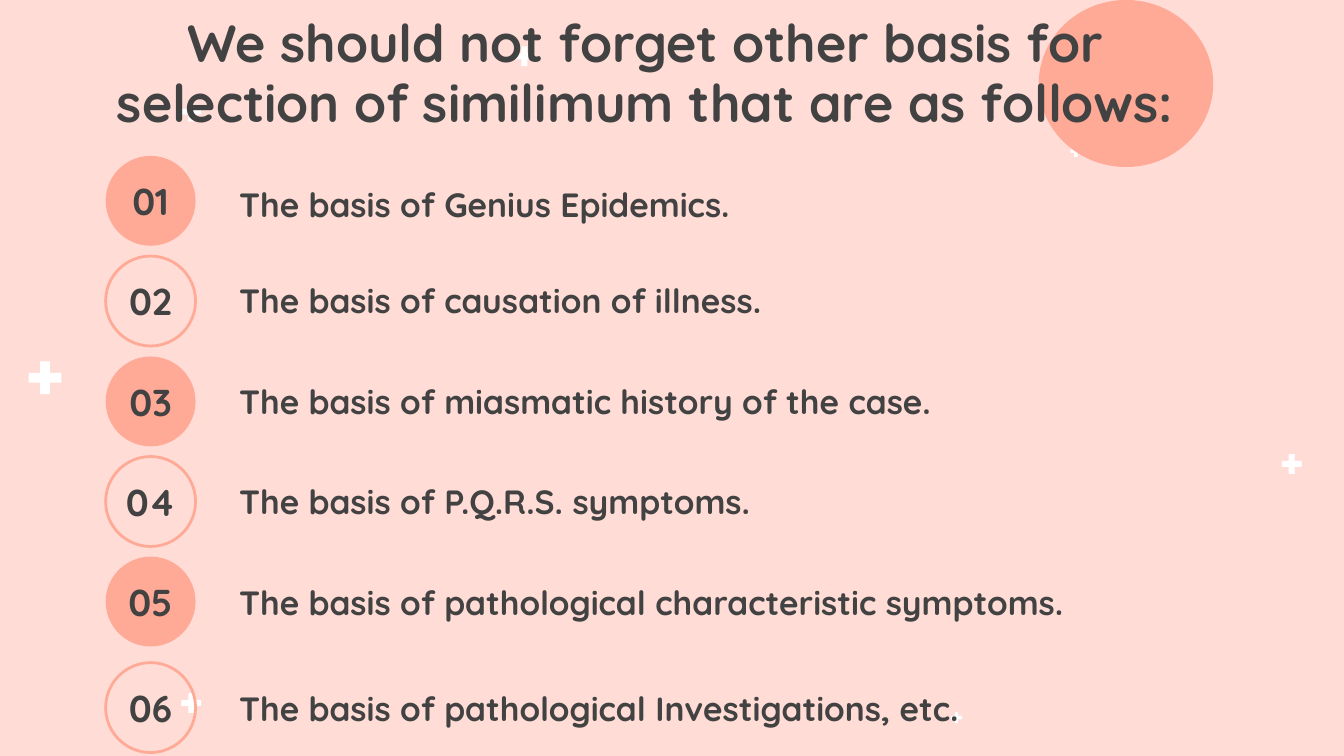
"""Build the slide listing the other bases for selecting the similimum."""
import pptx
import pptx.dml.color
import pptx.enum.shapes
import pptx.enum.text
import pptx.util

Pt = pptx.util.Pt
RGB = pptx.dml.color.RGBColor.from_string
SHAPE = pptx.enum.shapes.MSO_SHAPE
ALIGN = pptx.enum.text.PP_ALIGN
ANCHOR = pptx.enum.text.MSO_ANCHOR
COLORS = {"background": "FFDCD6", "accent": "FFAA97", "text": "424242", "sparkle": "FFFFFF"}


def add_figure(preset, left, top, width, height, fill=None, line=None):
    figure = slide.shapes.add_shape(preset, Pt(left), Pt(top), Pt(width), Pt(height))
    figure.shadow.inherit = False
    if fill:
        figure.fill.solid()
        figure.fill.fore_color.rgb = RGB(COLORS[fill])
    else:
        figure.fill.background()
    if line:
        figure.line.color.rgb = RGB(COLORS[line])
        figure.line.width = Pt(1.5)
    else:
        figure.line.fill.background()
    return figure


def write(holder, words, size, align, anchor, inset):
    frame = holder.text_frame
    frame.word_wrap = True
    frame.auto_size = pptx.enum.text.MSO_AUTO_SIZE.NONE
    frame.vertical_anchor = anchor
    frame.margin_left = frame.margin_right = Pt(inset)
    frame.margin_top = frame.margin_bottom = Pt(inset)
    paragraph = frame.paragraphs[0]
    paragraph.alignment = align
    run = paragraph.add_run()
    run.text = words
    run.font.name = "Quicksand"
    run.font.size = Pt(size)
    run.font.bold = True
    run.font.color.rgb = RGB(COLORS["text"])


deck = pptx.Presentation()
deck.slide_width, deck.slide_height = Pt(720), Pt(405)
slide = deck.slides.add_slide(deck.slide_layouts[5])
slide.background.fill.solid()
slide.background.fill.fore_color.rgb = RGB(COLORS["background"])

sparkles = [
    (631, 23.4, 17.5), (102.5, 59.8, 10.6), (281, 30.2, 10.6), (576.4, 81, 6),
    (24.1, 202.4, 17.5), (692, 248.6, 10.6), (512.4, 384.5, 6), (102.5, 376.6, 10.6),
]
for center_x, center_y, size in sparkles:
    sparkle = add_figure(SHAPE.CROSS, center_x - size / 2, center_y - size / 2,
                         size, size, fill="sparkle")
    sparkle.adjustments[0] = 0.35

add_figure(SHAPE.OVAL, 556.5, 0, 93.5, 89.5, fill="accent")

heading = slide.shapes.title
heading.left, heading.top, heading.width, heading.height = Pt(41.8), Pt(0), Pt(607.5), Pt(45)
write(heading, "We should not forget other basis for selection of similimum that are as follows:",
      28, ALIGN.CENTER, ANCHOR.TOP, 7.2)
heading.text_frame.paragraphs[0].line_spacing = 0.97
slide.shapes.element.append(heading.element)

bases = [
    (83.5, 94.3, "The basis of Genius Epidemics."),
    (137.2, 145.4, "The basis of causation of illness."),
    (191, 200, "The basis of miasmatic history of the case."),
    (244.6, 253.5, "The basis of P.Q.R.S. symptoms."),
    (298.2, 307.4, "The basis of pathological characteristic symptoms."),
    (355, 364.3, "The basis of pathological Investigations, etc."),
]
for number, (badge_top, basis_top, wording) in enumerate(bases, start=1):
    style = {"fill": "accent"} if number % 2 else {"line": "accent"}
    badge = add_figure(SHAPE.OVAL, 56.6, badge_top, 48.2, 48.2, **style)
    write(badge, f"{number:02d}", 20, ALIGN.CENTER, ANCHOR.MIDDLE, 0)
    basis = slide.shapes.add_textbox(Pt(121), Pt(basis_top), Pt(504), Pt(30.2))
    write(basis, wording, 18, ALIGN.LEFT, ANCHOR.MIDDLE, 7.2)

deck.save("out.pptx")
